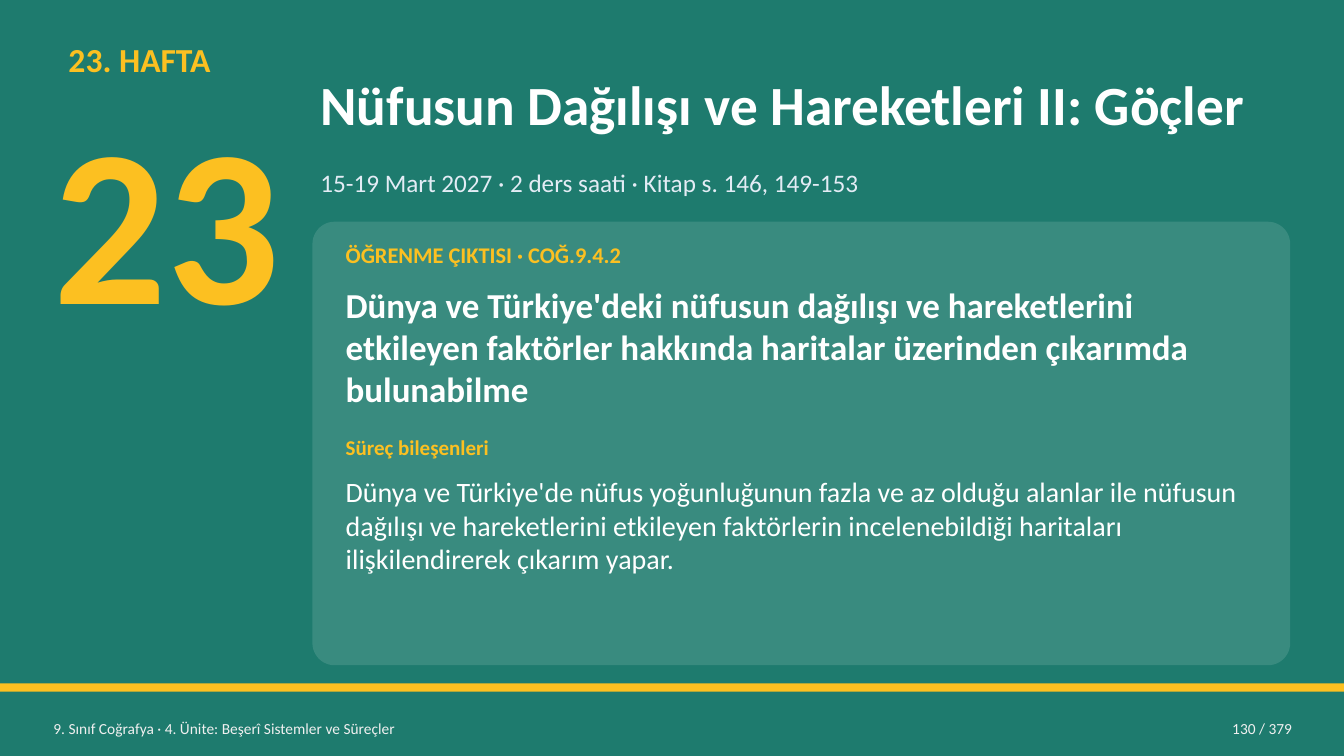
import pptx
import pptx.dml.color
import pptx.enum.shapes
import pptx.enum.text
import pptx.oxml
import pptx.oxml.ns
import pptx.util

Pt = pptx.util.Pt
ANCHOR = pptx.enum.text.MSO_ANCHOR
ALIGN = pptx.enum.text.PP_ALIGN
SHAPE = pptx.enum.shapes.MSO_SHAPE

GREEN, YELLOW, WHITE = "1E7B6E", "FCC021", "FFFFFF"
PALE_BLUE, PALE_GREY = "E3ECF5", "F0F0F0"
SLIDE_WIDTH, SLIDE_HEIGHT = 960, 540
CONTENT_LEFT, CONTENT_WIDTH = 223.2, 698.4
CARD_PADDING = 18
CARD_TEXT_LEFT = CONTENT_LEFT + CARD_PADDING
CARD_TEXT_WIDTH = CONTENT_WIDTH - 2 * CARD_PADDING
FOOTER_TOP, FOOTER_HEIGHT = 506.9, 26


def rgb(value):
    return pptx.dml.color.RGBColor.from_string(value)


class WeekSlide:
    font_name = "Calibri"
    side_inset = 5.76
    end_inset = 2.88

    def __init__(self, presentation):
        self.slide = presentation.slides.add_slide(presentation.slide_layouts[5])

    def background(self, color):
        fill = self.slide.background.fill
        fill.solid()
        fill.fore_color.rgb = rgb(color)

    def block(self, kind, left, top, width, height, color, opacity=100):
        """Add a filled shape without outline; opacity is a percentage."""
        shape = self.slide.shapes.add_shape(
            kind, Pt(left), Pt(top), Pt(width), Pt(height))
        shape.shadow.inherit = False
        shape.line.fill.background()
        shape.fill.solid()
        shape.fill.fore_color.rgb = rgb(color)
        if opacity < 100:
            color_element = shape.element.spPr.find(".//" + pptx.oxml.ns.qn("a:srgbClr"))
            alpha = pptx.oxml.parse_xml(
                f'<a:alpha {pptx.oxml.ns.nsdecls("a")} val="{opacity * 1000}"/>')
            color_element.append(alpha)
        return shape

    def title(self, text, left, top, width, height, size, color):
        shape = self.slide.shapes.title
        shape.left, shape.top = Pt(left), Pt(top)
        shape.width, shape.height = Pt(width), Pt(height)
        self.set_text(shape, text, size, color, bold=True, anchor=ANCHOR.MIDDLE)

    def text(self, text, left, top, width, height, size, color, **style):
        shape = self.slide.shapes.add_textbox(
            Pt(left), Pt(top), Pt(width), Pt(height))
        self.set_text(shape, text, size, color, **style)

    def set_text(self, shape, text, size, color, bold=False, anchor=ANCHOR.TOP,
                 align=ALIGN.LEFT, end_inset=end_inset):
        frame = shape.text_frame
        frame.word_wrap = True
        frame.auto_size = pptx.enum.text.MSO_AUTO_SIZE.NONE
        frame.vertical_anchor = anchor
        frame.margin_left = frame.margin_right = Pt(self.side_inset)
        frame.margin_top = frame.margin_bottom = Pt(end_inset)
        frame.text = text
        paragraph = frame.paragraphs[0]
        paragraph.alignment = align
        paragraph.font.name = self.font_name
        paragraph.font.size = Pt(size)
        paragraph.font.bold = bold
        paragraph.font.color.rgb = rgb(color)


def main():
    presentation = pptx.Presentation()
    presentation.slide_width = Pt(SLIDE_WIDTH)
    presentation.slide_height = Pt(SLIDE_HEIGHT)

    week = WeekSlide(presentation)
    week.background(GREEN)
    week.block(SHAPE.RECTANGLE, 0, 488.2, SLIDE_WIDTH, 5.76, YELLOW)

    week.text("23. HAFTA", 43.2, 25.2, 187.2, 39.6, 24, YELLOW, bold=True)
    week.text("23", 32.4, 57.6, 187.2, 198, 160, YELLOW, bold=True, end_inset=0)
    week.title("Nüfusun Dağılışı ve Hareketleri II: Göçler",
               CONTENT_LEFT, 32.4, CONTENT_WIDTH, 82.8, 39.5, WHITE)
    week.text("15-19 Mart 2027 · 2 ders saati · Kitap s. 146, 149-153",
              CONTENT_LEFT, 116.6, CONTENT_WIDTH, 32.4, 18, PALE_BLUE)

    card = week.block(SHAPE.ROUNDED_RECTANGLE, CONTENT_LEFT, 158.4,
                      CONTENT_WIDTH, 316.8, WHITE, opacity=12)
    card.adjustments[0] = 0.05
    card_texts = [
        ("ÖĞRENME ÇIKTISI · COĞ.9.4.2", 169.2, 28.8, 16, YELLOW, True),
        ("Dünya ve Türkiye'deki nüfusun dağılışı ve hareketlerini etkileyen "
         "faktörler hakkında haritalar üzerinden çıkarımda bulunabilme",
         199.4, 99.4, 25, WHITE, True),
        ("Süreç bileşenleri", 307.4, 27.4, 15, YELLOW, True),
        ("Dünya ve Türkiye'de nüfus yoğunluğunun fazla ve az olduğu alanlar ile "
         "nüfusun dağılışı ve hareketlerini etkileyen faktörlerin incelenebildiği "
         "haritaları ilişkilendirerek çıkarım yapar.",
         336.2, 130.3, 20, WHITE, False),
    ]
    for text, top, height, size, color, bold in card_texts:
        week.text(text, CARD_TEXT_LEFT, top, CARD_TEXT_WIDTH, height,
                  size, color, bold=bold)

    week.text("9. Sınıf Coğrafya · 4. Ünite: Beşerî Sistemler ve Süreçler",
              32.4, FOOTER_TOP, 547.2, FOOTER_HEIGHT, 11, PALE_GREY,
              anchor=ANCHOR.MIDDLE)
    week.text("130 / 379", 813.6, FOOTER_TOP, 115.2, FOOTER_HEIGHT, 11, PALE_GREY,
              anchor=ANCHOR.MIDDLE, align=ALIGN.RIGHT)

    presentation.save("out.pptx")


if __name__ == "__main__":
    main()
